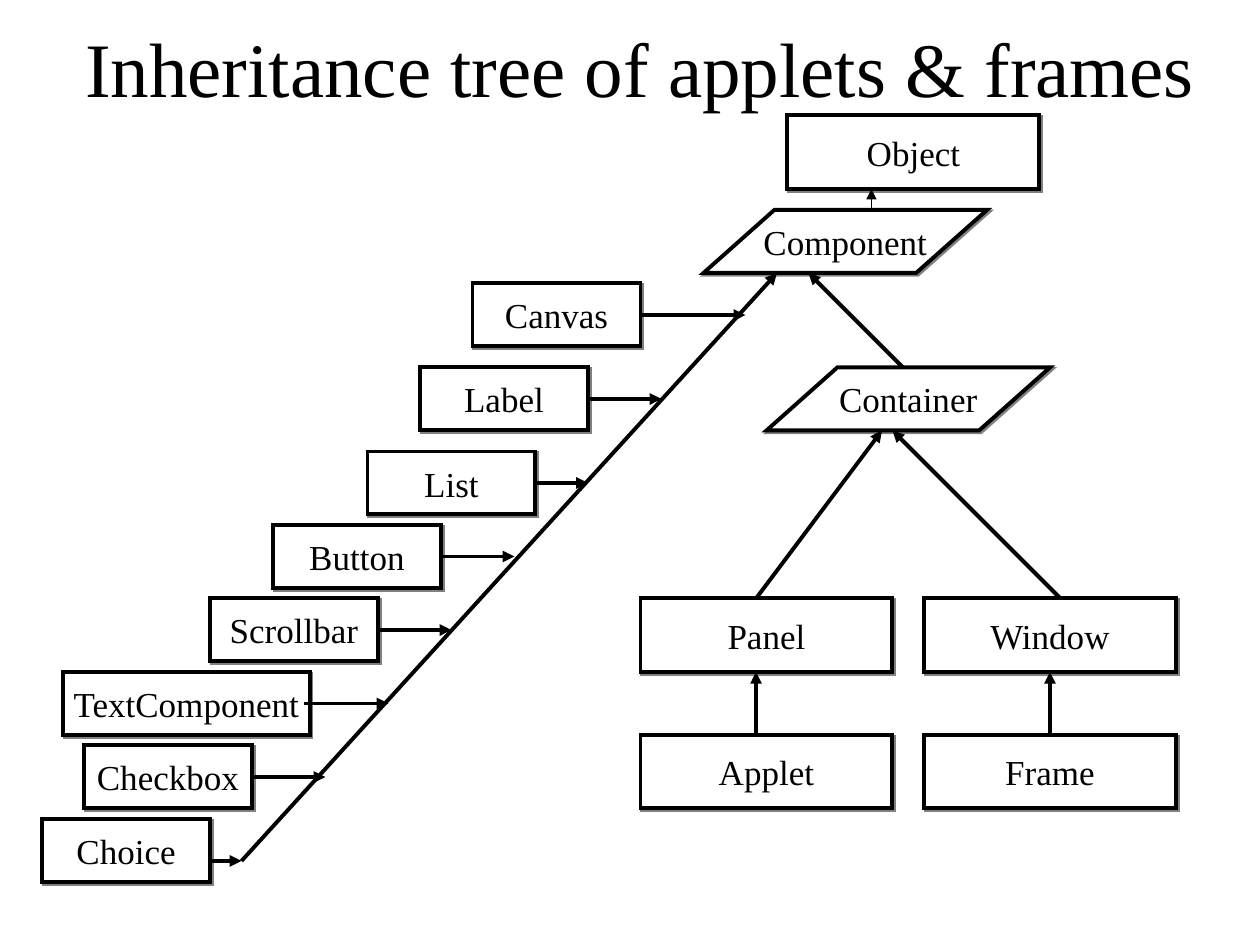
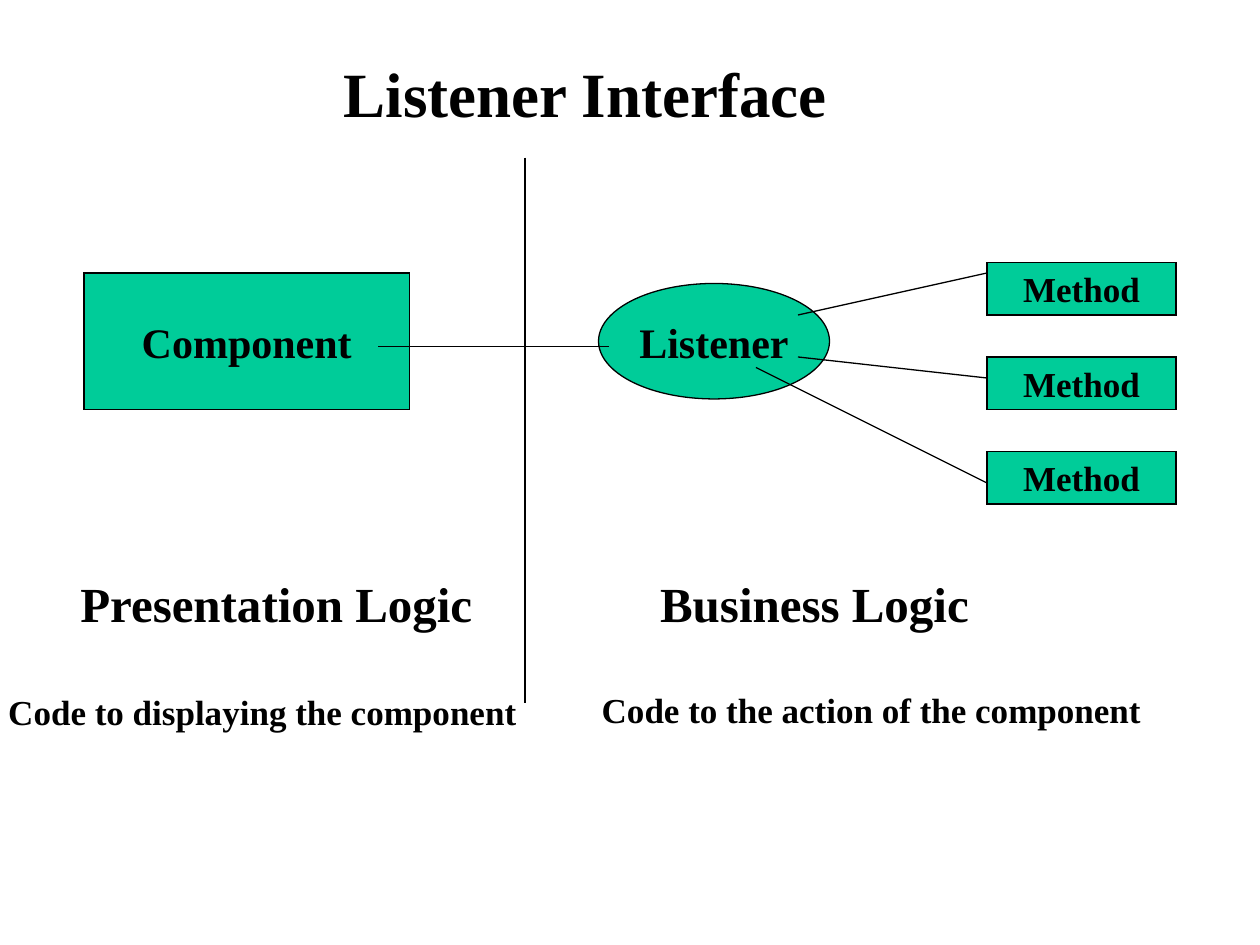
from pptx import Presentation
from pptx.dml.color import RGBColor
from pptx.enum.shapes import MSO_CONNECTOR, MSO_SHAPE
from pptx.enum.text import MSO_ANCHOR, MSO_AUTO_SIZE, PP_ALIGN
from pptx.oxml.ns import qn
from pptx.util import Pt
from lxml.etree import SubElement

PX = 9525  # EMU in one px, 96 px to the inch
WIDE, HIGH = 960, 720
FONT = "Times New Roman"
BLACK = RGBColor(0x00, 0x00, 0x00)
WHITE = RGBColor(0xFF, 0xFF, 0xFF)
GREEN = RGBColor(0x00, 0xCC, 0x99)
GREY = RGBColor(0x80, 0x80, 0x80)
THICK, THIN = 2.25, 0.75


def write(shape, text, size, bold=False, wrap=False):
    frame = shape.text_frame
    frame.word_wrap = wrap
    para = frame.paragraphs[0]
    para.alignment = PP_ALIGN.CENTER
    run = para.add_run()
    run.text = text
    run.font.name = FONT
    run.font.size = Pt(size)
    run.font.bold = bold
    run.font.color.rgb = BLACK


def shade(shape):
    """Give the shape a hard grey shadow, down and to the right."""
    effect = shape._element.spPr.find(qn("a:effectLst"))
    outer = SubElement(effect, qn("a:outerShdw"), dist="17961", dir="2700000",
                       algn="ctr", rotWithShape="0")
    SubElement(outer, qn("a:srgbClr"), val=str(GREY))


class Region:
    """Part of a slide; all places are px from its top left corner."""

    def __init__(self, slide, left, top):
        self.shapes, self.left, self.top = slide.shapes, left, top

    def spot(self, x, y):
        return (self.left + x) * PX, (self.top + y) * PX

    def node(self, text, x, y, width, height, kind=MSO_SHAPE.RECTANGLE,
             fill=WHITE, line=THICK, size=20, bold=False):
        shape = self.shapes.add_shape(kind, *self.spot(x, y), width * PX, height * PX)
        shape.shadow.inherit = False
        shape.fill.solid()
        shape.fill.fore_color.rgb = fill
        shape.line.color.rgb = BLACK
        shape.line.width = Pt(line)
        # Sharp corners
        SubElement(shape._element.spPr.find(qn("a:ln")), qn("a:miter"), lim="800000")
        shape.text_frame.vertical_anchor = MSO_ANCHOR.MIDDLE
        write(shape, text, size, bold)
        return shape

    def link(self, start, end, width=THIN, arrow=False):
        line = self.shapes.add_connector(MSO_CONNECTOR.STRAIGHT,
                                         *self.spot(*start), *self.spot(*end))
        line.line.color.rgb = BLACK
        line.line.width = Pt(width)
        props = line._element.spPr
        SubElement(props, qn("a:effectLst"))
        if arrow:
            SubElement(props.find(qn("a:ln")), qn("a:tailEnd"), type="triangle")

    def label(self, text, x, y, width, height, size):
        box = self.shapes.add_textbox(*self.spot(x, y), width * PX, height * PX)
        write(box, text, size, bold=True)
        box.text_frame.auto_size = MSO_AUTO_SIZE.SHAPE_TO_FIT_TEXT


# Inheritance tree

def draw_title(slide, text, left, top, width, height):
    box = slide.shapes.add_textbox(left * PX, top * PX, width * PX, height * PX)
    box.text_frame.vertical_anchor = MSO_ANCHOR.MIDDLE
    write(box, text, 44, wrap=True)


def draw_classes(slide, left, top):
    area = Region(slide, left, top)
    # Concrete classes
    for name, x, y in (("Object", 112, 0), ("Window", 216, 368), ("Frame", 216, 472),
                       ("Panel", 0, 368), ("Applet", 0, 472)):
        shade(area.node(name, x, y, 192, 56))
    # Abstract classes
    for name, x, y in (("Component", 48, 72), ("Container", 96, 192)):
        shape = area.node(name, x, y, 216, 48, MSO_SHAPE.PARALLELOGRAM)
        shape.adjustments[0] = 1.125
        shade(shape)
    # Arrows from child to parent
    for start, end in (((200, 192), (128, 120)), ((88, 368), (184, 240)),
                       ((88, 472), (88, 424)), ((320, 368), (192, 240)),
                       ((312, 472), (312, 424))):
        area.link(start, end, THICK, arrow=True)
    area.link((176, 72), (176, 56), arrow=True)


def draw_widgets(slide, left, top):
    area = Region(slide, left, top)
    # Name, box left, top and width, then arrow start, tip and drop
    widgets = (("Canvas", 328, 8, 128, 456, 536, 24),
               ("Label", 288, 72, 128, 416, 472, 24),
               ("List", 248, 136, 128, 376, 416, 24),
               ("Button", 176, 192, 128, 304, 360, 24),
               ("Scrollbar", 128, 248, 128, 256, 312, 24),
               ("TextComponent", 16, 304, 188, 200, 264, 24),
               ("Checkbox", 32, 360, 128, 160, 216, 24),
               ("Choice", 0, 416, 128, 128, 152, 32))
    for name, x, y, width, start, tip, drop in widgets:
        shade(area.node(name, x, y, width, 48))
        area.link((start, y + drop), (tip, y + drop), THICK, arrow=True)
    # Spine up to the component
    area.link((152, 448), (560, 0), THICK, arrow=True)


def build_tree(slide):
    draw_title(slide, "Inheritance tree of applets & frames", 40, 15, 896, 72)
    draw_classes(slide, 488, 88)
    draw_widgets(slide, 32, 208)


# Listener interface

GREEN_BOX = {"fill": GREEN, "line": THIN, "bold": True}


def draw_view(slide, left, top):
    area = Region(slide, left, top)
    area.node("Component", 64, 88, 248, 104, size=24, **GREEN_BOX)
    area.label("Presentation Logic", 46, 312, 329, 55, 28)
    area.label("Code to displaying the component", -8, 401, 416, 42, 20)


def draw_logic(slide, left, top):
    area = Region(slide, left, top)
    area.node("Listener", 56, 96, 176, 88, MSO_SHAPE.OVAL, size=24, **GREEN_BOX)
    # Methods with their links to the listener
    links = (((208, 120), 88), ((208, 152), 168), ((176, 160), 248))
    for row, (start, end) in enumerate(links):
        area.node("Method", 352, 80 + 72 * row, 144, 40, **GREEN_BOX)
        area.link(start, (352, end))
    area.label("Business Logic", 88, 312, 265, 55, 28)
    area.label("Code to the action of the component", 44, 400, 440, 42, 20)


def build_listener(slide):
    page = Region(slide, 0, 0)
    page.label("Listener Interface", 247, 37, 398, 67, 36)
    draw_view(slide, 0, 120)
    draw_logic(slide, 400, 120)
    # Divider, and the link that crosses it
    page.link((400, 120), (400, 536))
    page.link((288, 264), (464, 264))


def main():
    deck = Presentation()
    deck.slide_width, deck.slide_height = WIDE * PX, HIGH * PX
    blank = deck.slide_layouts[6]
    for build in (build_tree, build_listener):
        build(deck.slides.add_slide(blank))
    deck.save("out.pptx")


if __name__ == "__main__":
    main()
